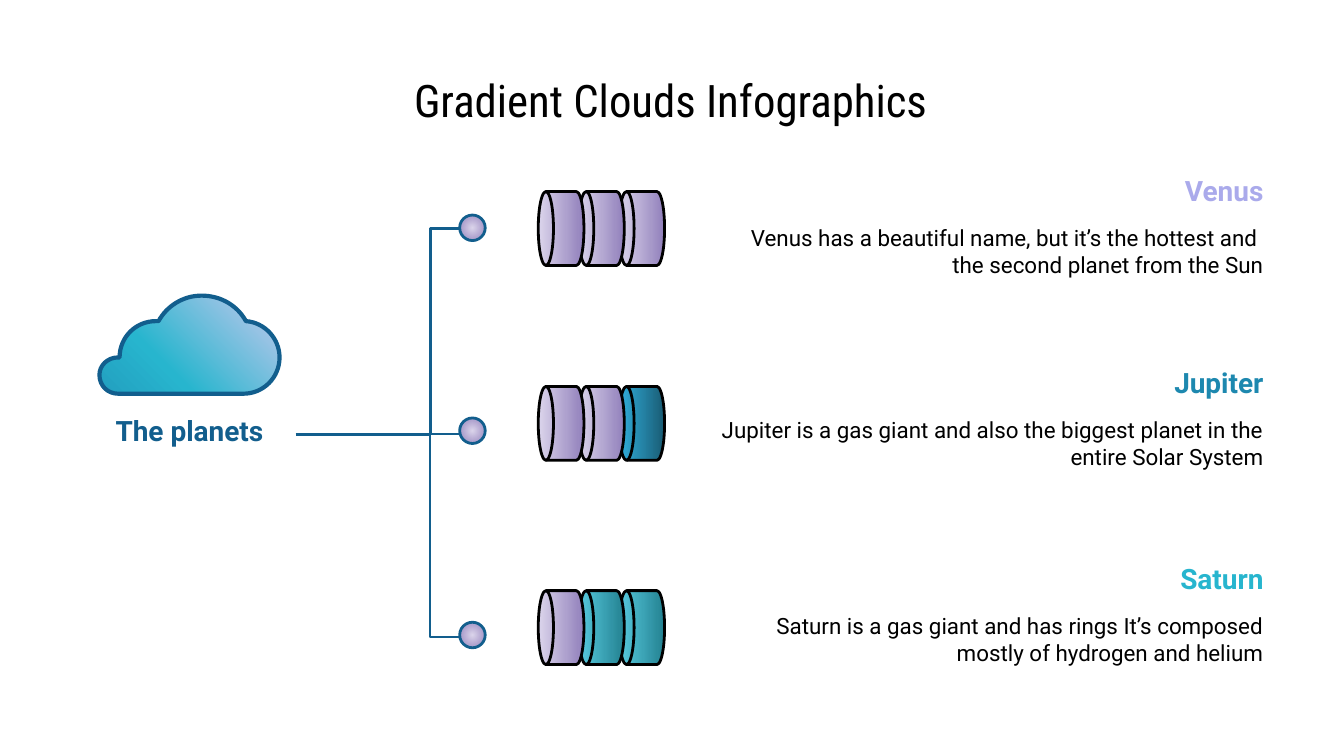
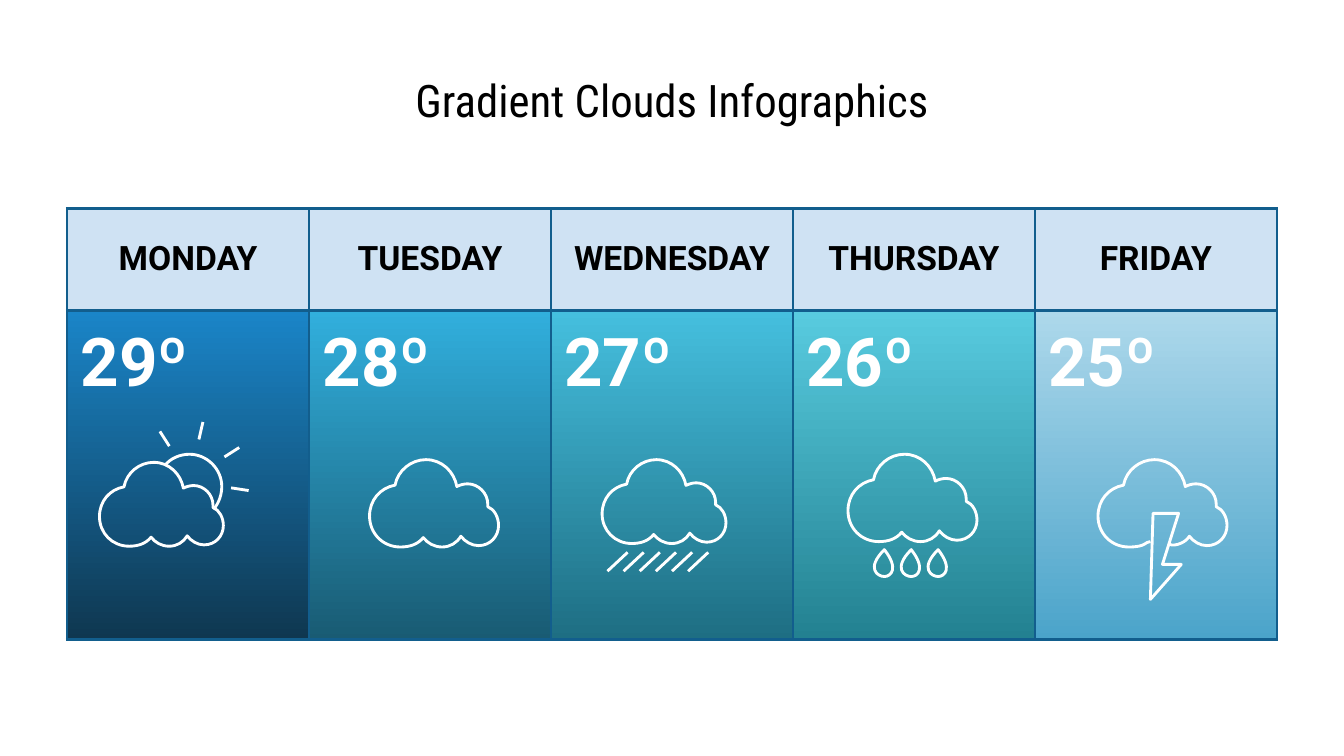
"""Build two cloud infographic slides: a planet diagram and a weather table."""

from lxml.etree import SubElement
from pptx import Presentation
from pptx.dml.color import RGBColor
from pptx.enum.shapes import MSO_CONNECTOR, MSO_SHAPE
from pptx.enum.text import MSO_ANCHOR, PP_ALIGN
from pptx.oxml.ns import qn
from pptx.oxml.xmlchemy import OxmlElement
from pptx.util import Pt

PX = 9144
COLOURS = {
    "black": "000000",
    "white": "FFFFFF",
    "outline": "125E8D",
    "header": "CFE2F3",
    "venus": "AAAAEB",
    "jupiter": "1D88AF",
    "saturn": "27B5CE",
    "cloud_light": "C9C9EE",
    "cloud_dark": "229FBF",
}
GRADIENTS = {
    "lilac": ("DBD4EB", "9180BB"),
    "navy": ("1A85C8", "0F3750"),
    "blue": ("31AFDD", "195B73"),
    "teal": ("45BFDE", "1E6E83"),
    "aqua": ("58CBDF", "238191"),
    "sky": ("ADD8EB", "4BA4CA"),
}
RGB = {name: RGBColor.from_string(value) for name, value in COLOURS.items()}


def paint_gradient(fill, colours, angle=90):
    fill.gradient()
    fill.gradient_angle = 360 - angle
    for stop, colour in zip(fill.gradient_stops, colours):
        stop.color.rgb = RGBColor.from_string(colour)


def draw_outline(slide, points, colour, width=1.54, origin=(0, 0), scale=1, curved=True, closed=True):
    places = [
        ((origin[0] + x * scale) * PX, (origin[1] + y * scale) * PX)
        for x, y in points
    ]
    builder = slide.shapes.build_freeform(*places[0])
    builder.add_line_segments(places[1:], close=closed)
    shape = builder.convert_to_shape()
    shape.shadow.inherit = False
    shape.fill.background()
    shape.line.color.rgb = RGB[colour]
    shape.line.width = Pt(width)
    if curved:
        for index, segment in enumerate(shape._element.xpath(".//a:lnTo")):
            if index % 3 == 0:
                curve = OxmlElement("a:cubicBezTo")
                segment.addprevious(curve)
            curve.append(segment[0])
            segment.getparent().remove(segment)
    return shape


presentation = Presentation()
presentation.slide_width = 1000 * PX
presentation.slide_height = presentation.slide_width * 9 // 16
planets, weather = [
    presentation.slides.add_slide(presentation.slide_layouts[6]) for _ in range(2)
]

brackets = [
    [(220, 323), (320, 323), (320, 474), (348, 474)],
    [(348, 170), (320, 170), (320, 323), (348, 323)],
]
for bracket in brackets:
    draw_outline(planets, bracket, "outline", curved=False, closed=False)

planet_cloud = [
    (150, 220), (136, 220), (124, 228), (118, 239),
    (117, 239), (116, 239), (116, 239),
    (101, 239), (89, 251), (89, 266),
    (88, 266), (88, 266), (88, 266),
    (80, 266), (74, 272), (74, 279),
    (74, 287), (80, 293), (88, 293),
    (119, 293), (150, 293), (181, 293),
    (196, 293), (208, 281), (208, 266),
    (208, 252), (197, 240), (183, 239),
    (177, 228), (165, 220), (150, 220),
]
cloud = draw_outline(planets, planet_cloud, "outline", 2.25)
paint_gradient(cloud.fill, (COLOURS["cloud_light"], COLOURS["cloud_dark"]), 135)
stop_list = cloud._element.xpath(".//a:gsLst")[0]
middle_stop = OxmlElement("a:gs")
middle_stop.set("pos", "66000")
SubElement(middle_stop, qn("a:srgbClr")).set("val", COLOURS["saturn"])
stop_list.insert(1, middle_stop)

rows = [
    ("Venus", "Venus has a beautiful name, but it’s the hottest and \vthe second planet from the Sun",
     123, 153, 160, ("lilac", "lilac", "lilac")),
    ("Jupiter", "Jupiter is a gas giant and also the biggest planet in the entire Solar System",
     266, 298, 311, ("lilac", "lilac", "blue")),
    ("Saturn", "Saturn is a gas giant and has rings It’s composed mostly of hydrogen and helium",
     412, 450, 463, ("lilac", "aqua", "aqua")),
]
title = "Gradient Clouds Infographics"
texts = [
    (planets, title, (48, 44, 902, 63), 24, "black", PP_ALIGN.CENTER),
    (weather, title, (50, 44, 900, 63), 24, "black", PP_ALIGN.CENTER),
    (planets, "The planets", (69, 302, 144, 37), 15, "outline", PP_ALIGN.CENTER),
]
for planet, description, heading_top, disk_top, dot_top, disk_gradients in rows:
    texts.append((planets, planet, (517, heading_top, 433, 37), 15, planet.lower(), PP_ALIGN.RIGHT))
    texts.append((planets, description, (517, heading_top + 36, 433, 55), 12, "black", PP_ALIGN.RIGHT))

    for column in (2, 1, 0):
        disk = planets.shapes.add_shape(
            MSO_SHAPE.FLOWCHART_MAGNETIC_DISK,
            (390 + 30 * column) * PX, disk_top * PX, 55 * PX, 34 * PX,
        )
        disk.rotation = 270
        disk.shadow.inherit = False
        paint_gradient(disk.fill, GRADIENTS[disk_gradients[column]])
        disk.line.color.rgb = RGB["black"]
        disk.line.width = Pt(1.5)

    dot = planets.shapes.add_shape(MSO_SHAPE.OVAL, 342 * PX, dot_top * PX, 19 * PX, 19 * PX)
    dot.shadow.inherit = False
    paint_gradient(dot.fill, GRADIENTS["lilac"])
    linear = dot._element.xpath(".//a:lin")[0]
    radial = OxmlElement("a:path")
    radial.set("path", "circle")
    centre = SubElement(radial, qn("a:fillToRect"))
    for side in "ltrb":
        centre.set(side, "50000")
    linear.getparent().replace(linear, radial)
    dot.line.color.rgb = RGB["outline"]
    dot.line.width = Pt(1.5)

for slide, text, box, size, colour, alignment in texts:
    frame = slide.shapes.add_textbox(*[length * PX for length in box]).text_frame
    frame.word_wrap = True
    frame.margin_left = frame.margin_right = frame.margin_top = frame.margin_bottom = 10 * PX
    frame.vertical_anchor = MSO_ANCHOR.TOP if size == 24 else MSO_ANCHOR.MIDDLE
    frame.text = text
    paragraph = frame.paragraphs[0]
    paragraph.alignment = alignment
    paragraph.font.name = "Roboto Condensed" if size == 24 else "Roboto"
    paragraph.font.size = Pt(size)
    paragraph.font.bold = size == 15
    paragraph.font.color.rgb = RGB[colour]

days = [
    ("MONDAY", "29º", "navy"),
    ("TUESDAY", "28º", "blue"),
    ("WEDNESDAY", "27º", "teal"),
    ("THURSDAY", "26º", "aqua"),
    ("FRIDAY", "25º", "sky"),
]
table = weather.shapes.add_table(2, len(days), 50 * PX, 155 * PX, 900 * PX, 321 * PX).table
table.first_row = False
table.horz_banding = False
table.rows[0].height = 76 * PX
table.rows[1].height = 245 * PX
for column, (day, temperature, gradient) in enumerate(days):
    table.columns[column].width = 180 * PX
    header, body = table.cell(0, column), table.cell(1, column)
    header.fill.solid()
    header.fill.fore_color.rgb = RGB["header"]
    header.vertical_anchor = MSO_ANCHOR.MIDDLE
    paint_gradient(body.fill, GRADIENTS[gradient])
    for cell, text, size, colour, alignment in (
        (header, day, 18, "black", PP_ALIGN.CENTER),
        (body, temperature, 36, "white", PP_ALIGN.LEFT),
    ):
        cell.margin_left = cell.margin_right = cell.margin_top = cell.margin_bottom = 10 * PX
        cell.text = text
        paragraph = cell.text_frame.paragraphs[0]
        paragraph.alignment = alignment
        paragraph.font.name = "Roboto"
        paragraph.font.size = Pt(size)
        paragraph.font.bold = True
        paragraph.font.color.rgb = RGB[colour]
        properties = cell._tc.get_or_add_tcPr()
        for position, side in enumerate("LRTB"):
            border = OxmlElement(f"a:ln{side}")
            border.set("w", str(Pt(1.5)))
            border_fill = SubElement(border, qn("a:solidFill"))
            SubElement(border_fill, qn("a:srgbClr")).set("val", COLOURS["outline"])
            properties.insert(position, border)

weather_cloud = [
    (88, 35), (88, 34), (88, 34), (88, 33),
    (88, 25), (81, 18), (73, 18),
    (70, 18), (67, 19), (65, 20),
    (63, 9), (54, 0), (42, 0),
    (31, 0), (21, 8), (19, 19),
    (8, 21), (0, 30), (0, 42),
    (0, 55), (10, 65), (23, 65),
    (30, 65), (36, 63), (40, 58),
    (43, 62), (48, 65), (54, 65),
    (60, 65), (65, 62), (68, 57),
    (71, 61), (76, 64), (81, 64),
    (90, 64), (96, 57), (96, 49),
    (96, 43), (93, 37), (88, 35),
]
for origin, scale in (((74, 344), 0.96), ((275, 342), 1), ((448, 342), 0.96), ((631, 338), 1)):
    draw_outline(weather, weather_cloud, "white", origin=origin, scale=scale)

storm_cloud = (
    [(53, 63), (58, 65), (66, 61)]
    + weather_cloud[30:]
    + weather_cloud[1:22]
    + [(36, 65), (35, 61), (39, 61)]
)
draw_outline(weather, storm_cloud, "white", origin=(817, 342), closed=False)
bolt = [(858, 382), (877, 382), (865, 420), (879, 420), (856, 446)]
draw_outline(weather, bolt, "white", curved=False)

sun = [
    (123, 346), (127, 341), (134, 338), (141, 338),
    (154, 338), (165, 349), (165, 362),
    (165, 368), (163, 374), (159, 379),
]
draw_outline(weather, sun, "white", closed=False)

drop = [(14, 0), (0, 14), (9, 20), (14, 20), (19, 20), (25, 14), (14, 0)]
for left in range(644, 685, 20):
    draw_outline(weather, drop, "white", origin=(left, 409))

sun_rays = [(151, 314, 148, 327), (178, 333, 167, 340), (185, 365, 172, 363), (119, 321, 126, 332)]
rain = [(left, 425, left + 15, 411) for left in range(452, 513, 12)]
for stroke in sun_rays + rain:
    connector = weather.shapes.add_connector(
        MSO_CONNECTOR.STRAIGHT, *[length * PX for length in stroke]
    )
    connector.line.color.rgb = RGB["white"]
    connector.line.width = Pt(1.54)
    SubElement(connector._element.spPr, qn("a:effectLst"))

presentation.save("out.pptx")
